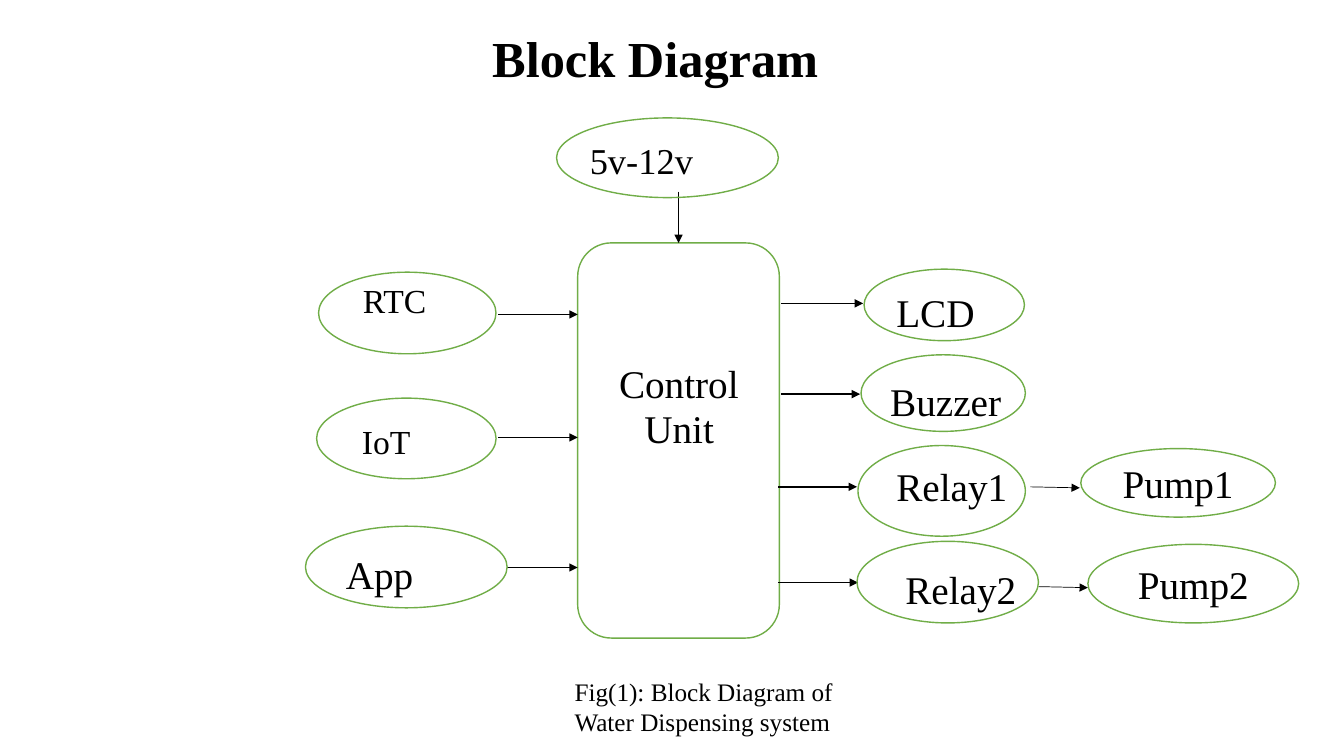
from lxml import etree
from pptx import Presentation
from pptx.dml.color import RGBColor
from pptx.enum.shapes import MSO_CONNECTOR, MSO_SHAPE
from pptx.enum.text import MSO_ANCHOR, PP_ALIGN
from pptx.oxml.ns import qn
from pptx.util import Inches, Pt

BLACK = RGBColor(0x00, 0x00, 0x00)
WHITE = RGBColor(0xFF, 0xFF, 0xFF)
GREEN = RGBColor(0x70, 0xAD, 0x47)
FONT = "Times New Roman"
OVAL, ROUNDED = MSO_SHAPE.OVAL, MSO_SHAPE.ROUNDED_RECTANGLE
STRAIGHT = MSO_CONNECTOR.STRAIGHT
CENTER, LEFT = PP_ALIGN.CENTER, PP_ALIGN.LEFT
TOP, MIDDLE, BOTTOM = MSO_ANCHOR.TOP, MSO_ANCHOR.MIDDLE, MSO_ANCHOR.BOTTOM

# Content: boxes are (left, top, width, height) in inches
TITLE = ("Block Diagram", (0.75, 0.33, 11.5, 0.6))
CAPTION = ("Fig(1): Block Diagram of Water Dispensing system", (5.6, 6.66, 2.82, 0.71))
CONTROLLER = (5.73, 2.41, 2, 3.92)
# Ovals with a free label: oval box, fill, text, label box, size
NODES = [
    ((5.52, 1.17, 2.2, 0.79), None, "5v-12v", (5.85, 1.34, 1.5, 0.55), 26),
    ((3.16, 2.7, 1.76, 0.81), None, "RTC", (3.6, 2.75, 1.27, 0.47), 24),
    ((3.14, 3.95, 1.78, 0.8), None, "IoT", (3.59, 4.15, 1.17, 0.55), 24),
    ((3.03, 5.22, 2, 0.81), WHITE, "App", (3.43, 5.43, 1.61, 0.55), 28),
    ((8.57, 2.67, 1.59, 0.71), None, "LCD", (8.89, 2.83, 1.03, 0.55), 28),
    ((8.54, 3.52, 1.63, 0.76), None, "Buzzer", (8.83, 3.71, 1.46, 0.55), 28),
    ((8.51, 4.42, 1.66, 0.9), None, "Relay1", (8.89, 4.55, 1.27, 0.54), 28),
    ((8.5, 5.37, 1.8, 0.81), None, "Relay2", (8.98, 5.58, 1.19, 0.55), 28),
]
CONTROLLER_LABELS = [
    ("Control", (6.14, 3.53, 1.5, 0.51)),
    ("Unit", (6.39, 3.98, 1.01, 0.5)),
]
PUMPS = [
    ("Pump1", (10.72, 4.45, 1.93, 0.68)),
    ("Pump2", (10.79, 5.4, 2.09, 0.78)),
]
# Arrows: x1, y1, x2, y2, line width
SUPPLY_ARROW = [(6.73, 1.9, 6.73, 2.41, 1)]
INPUT_ARROWS = [(4.94, y, 5.73, y, 1) for y in (3.12, 4.34, 5.63)]
OUTPUT_ARROWS = [(x1, y, x2, y, 1) for x1, x2, y in [
    (7.75, 8.56, 3.01), (7.75, 8.53, 3.91), (7.72, 8.5, 4.83), (7.72, 8.51, 5.78)]]
PUMP_ARROWS = [(10.22, 4.83, 10.71, 4.84, 0.5), (10.3, 5.82, 10.79, 5.83, 0.5)]

prs = Presentation()
prs.slide_width, prs.slide_height = Inches(13.33), Inches(7.5)
s = prs.slides.add_slide(prs.slide_layouts[5])


def inches(box):
    return [Inches(v) for v in box]


def write(sp, text, size=28, bold=False, align=LEFT, anchor=TOP, spacing=1.0, inset=None):
    tf = sp.text_frame
    tf.word_wrap = True
    tf.vertical_anchor = anchor
    if inset is not None:
        tf.margin_left = tf.margin_right = tf.margin_top = tf.margin_bottom = Inches(inset)
    p = tf.paragraphs[0]
    p.alignment, p.line_spacing = align, spacing
    r = p.add_run()
    r.text = text
    r.font.name, r.font.size, r.font.bold = FONT, Pt(size), bold
    r.font.color.rgb = BLACK


def add_outline(kind, box, fill=None):
    sp = s.shapes.add_shape(kind, *inches(box))
    sp.shadow.inherit = False
    if fill is None:
        sp.fill.background()
    else:
        sp.fill.solid()
        sp.fill.fore_color.rgb = fill
    sp.line.color.rgb = GREEN
    sp.line.width = Pt(1)
    return sp


def add_label(text, box, size=28):
    write(s.shapes.add_textbox(*inches(box)), text, size=size, spacing=1.07, inset=0)


def add_arrow(x1, y1, x2, y2, width):
    cn = s.shapes.add_connector(STRAIGHT, *inches((x1, y1, x2, y2)))
    cn.line.color.rgb = BLACK
    cn.line.width = Pt(width)
    etree.SubElement(cn.line._get_or_add_ln(), qn("a:tailEnd"), type="triangle")
    etree.SubElement(cn._element.spPr, qn("a:effectLst"))


# Title
title = s.shapes.title
title.left, title.top, title.width, title.height = inches(TITLE[1])
write(title, TITLE[0], size=36, bold=True, align=CENTER, anchor=BOTTOM, spacing=0.9)

# Controller
add_outline(ROUNDED, CONTROLLER)
for text, box in CONTROLLER_LABELS:
    add_label(text, box)

# Arrows, behind the ovals
for arrow in SUPPLY_ARROW + INPUT_ARROWS + OUTPUT_ARROWS + PUMP_ARROWS:
    add_arrow(*arrow)

# Supply, inputs and outputs
for oval, fill, text, box, size in NODES:
    add_outline(OVAL, oval, fill)
    add_label(text, box, size)

# Pumps
for text, box in PUMPS:
    write(add_outline(OVAL, box, WHITE), text, align=CENTER, anchor=MIDDLE)

# Caption
write(s.shapes.add_textbox(*inches(CAPTION[1])), CAPTION[0], size=18)

prs.save("out.pptx")
